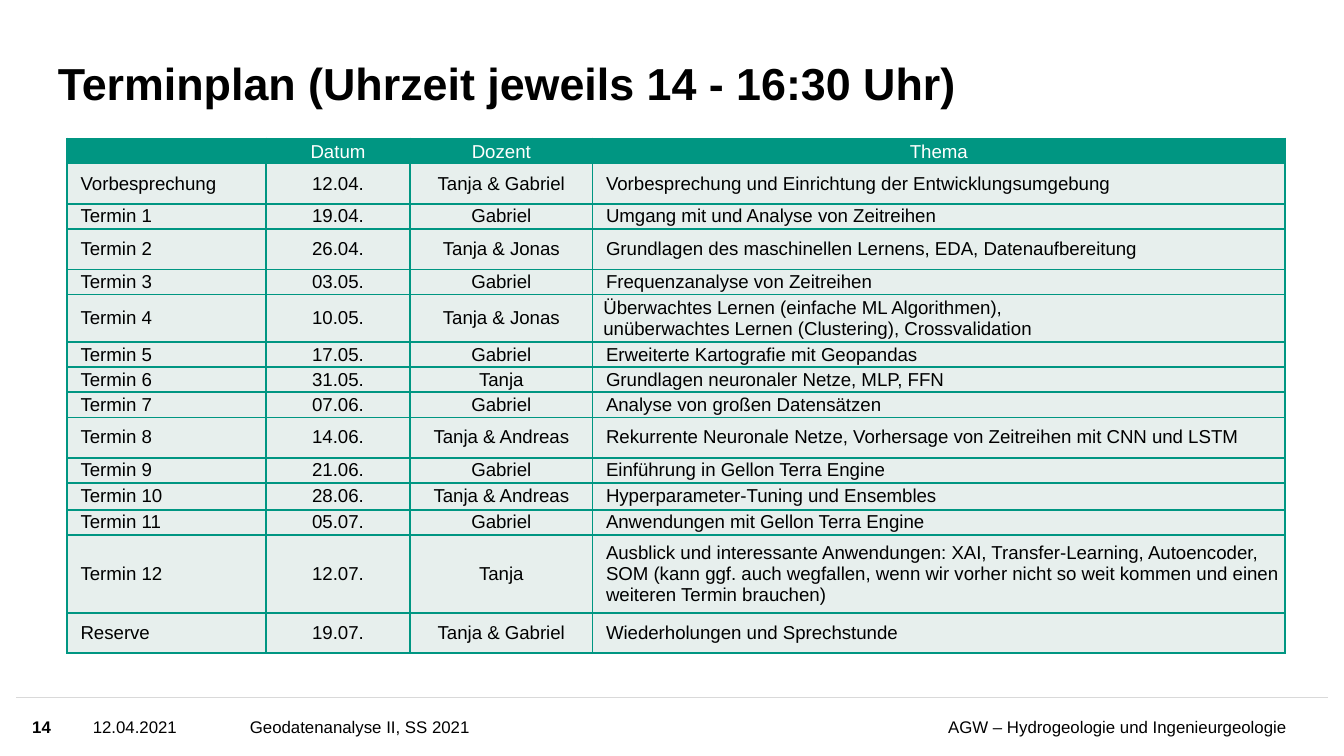
"""Build the course schedule slide with its table of dates, lecturers and topics."""
from lxml.etree import SubElement
from pptx import Presentation
from pptx.dml.color import RGBColor
from pptx.enum.shapes import MSO_CONNECTOR as Connector
from pptx.enum.text import MSO_ANCHOR as Anchor, PP_ALIGN as Align
from pptx.oxml.ns import qn
from pptx.util import Inches, Pt

WIDTH = 10
HEIGHT = WIDTH * 9 / 16
FONT = "Arial"
BLACK = RGBColor(0x00, 0x00, 0x00)
WHITE = RGBColor(0xFF, 0xFF, 0xFF)
GREEN = RGBColor(0x00, 0x96, 0x82)
PALE = RGBColor(0xE7, 0xEF, 0xED)
GREY = RGBColor(0xD9, 0xD9, 0xD9)

TITLE = "Terminplan (Uhrzeit jeweils 14 - 16:30 Uhr)"
SLIM, MEDIUM, WIDE, TRIPLE = 0.16, 0.2, 0.3, 0.58
HEADER = (SLIM, "", "Datum", "Dozent", "Thema")
SESSIONS = [
    (WIDE, "Vorbesprechung", "12.04.", "Tanja & Gabriel",
     "Vorbesprechung und Einrichtung der Entwicklungsumgebung"),
    (SLIM, "Termin 1", "19.04.", "Gabriel", "Umgang mit und Analyse von Zeitreihen"),
    (WIDE, "Termin 2", "26.04.", "Tanja & Jonas",
     "Grundlagen des maschinellen Lernens, EDA, Datenaufbereitung"),
    (SLIM, "Termin 3", "03.05.", "Gabriel", "Frequenzanalyse von Zeitreihen"),
    (WIDE, "Termin 4", "10.05.", "Tanja & Jonas",
     "Überwachtes Lernen (einfache ML Algorithmen),\n"
     "unüberwachtes Lernen (Clustering), Crossvalidation"),
    (SLIM, "Termin 5", "17.05.", "Gabriel", "Erweiterte Kartografie mit Geopandas"),
    (SLIM, "Termin 6", "31.05.", "Tanja", "Grundlagen neuronaler Netze, MLP, FFN"),
    (SLIM, "Termin 7", "07.06.", "Gabriel", "Analyse von großen Datensätzen"),
    (WIDE, "Termin 8", "14.06.", "Tanja & Andreas",
     "Rekurrente Neuronale Netze, Vorhersage von Zeitreihen mit CNN und LSTM"),
    (SLIM, "Termin 9", "21.06.", "Gabriel", "Einführung in Gellon Terra Engine"),
    (MEDIUM, "Termin 10", "28.06.", "Tanja & Andreas", "Hyperparameter-Tuning und Ensembles"),
    (SLIM, "Termin 11", "05.07.", "Gabriel", "Anwendungen mit Gellon Terra Engine"),
    (TRIPLE, "Termin 12", "12.07.", "Tanja",
     "Ausblick und interessante Anwendungen: XAI, Transfer-Learning, Autoencoder, "
     "SOM (kann ggf. auch wegfallen, wenn wir vorher nicht so weit kommen und einen "
     "weiteren Termin brauchen)"),
    (WIDE, "Reserve", "19.07.", "Tanja & Gabriel", "Wiederholungen und Sprechstunde"),
]
COLUMNS = [(1.48, Align.LEFT), (1.07, Align.CENTER), (1.36, Align.CENTER), (5.15, Align.LEFT)]
TABLE_LEFT, TABLE_TOP, TABLE_HEIGHT = 0.5, 1.03, 3.89
FOOTER_TOP, FOOTER_HEIGHT, FOOTER_EDGE = 5.19, 0.43, 0.12
FOOTER = [
    ("14", 0.24, 0.36, Align.LEFT, True),
    ("12.04.2021", 0.69, 1.12, Align.LEFT, False),
    ("Geodatenanalyse II, SS 2021", 1.86, 4.03, Align.LEFT, False),
    ("AGW – Hydrogeologie und Ingenieurgeologie", 6.02, 3.55, Align.RIGHT, False),
]


def write(paragraph, text, size, color, align, bold=False):
    paragraph.alignment = align
    for number, line in enumerate(text.split("\n")):
        if number:
            paragraph.add_line_break()
        run = paragraph.add_run()
        run.text = line
        run.font.name, run.font.size, run.font.bold = FONT, Pt(size), bold
        run.font.color.rgb = color
    for line_break in paragraph._p.findall(qn("a:br")):
        SubElement(line_break, qn("a:rPr"), sz=str(size * 100))


def add_label(slide, box, text, size, align, bold, anchor):
    frame = slide.shapes.add_textbox(*map(Inches, box)).text_frame
    frame.word_wrap, frame.vertical_anchor = True, anchor
    frame.margin_left = frame.margin_right = frame.margin_top = frame.margin_bottom = 0
    write(frame.paragraphs[0], text, size, BLACK, align, bold)
    return frame.paragraphs[0]


def add_borders(cell):
    properties = cell._tc.get_or_add_tcPr()
    for side in ("lnL", "lnR", "lnT", "lnB"):
        border = SubElement(properties, qn(f"a:{side}"), w=str(Pt(1)))
        fill = SubElement(border, qn("a:solidFill"))
        SubElement(fill, qn("a:srgbClr"), val=str(GREEN))


def fill_cell(cell, text, align, is_header):
    add_borders(cell)
    cell.fill.solid()
    cell.fill.fore_color.rgb = GREEN if is_header else PALE
    cell.vertical_anchor = Anchor.BOTTOM if is_header else Anchor.MIDDLE
    cell.margin_left = cell.margin_right = Inches(0 if "\n" in text else 0.02)
    cell.margin_top = cell.margin_bottom = Inches(0.01)
    paragraph = cell.text_frame.paragraphs[0]
    if not text:
        SubElement(paragraph._p, qn("a:endParaRPr"), sz="1000")
        return
    write(paragraph, text, 10, WHITE if is_header else BLACK, Align.CENTER if is_header else align)
    if not is_header and align == Align.LEFT:
        indent = paragraph._p.get_or_add_pPr()
        indent.set("marL", str(Inches(0.08)))
        indent.set("indent", "0")


def add_schedule(slide):
    rows = [HEADER, *SESSIONS]
    box = (TABLE_LEFT, TABLE_TOP, sum(width for width, _ in COLUMNS), TABLE_HEIGHT)
    frame = slide.shapes.add_table(len(rows), len(COLUMNS), *map(Inches, box))
    schedule = frame.table
    schedule.first_row = schedule.horz_banding = False
    for column, (width, _) in zip(schedule.columns, COLUMNS):
        column.width = Inches(width)
    for r, (height, *texts) in enumerate(rows):
        schedule.rows[r].height = Inches(height)
        for c, (text, (_, align)) in enumerate(zip(texts, COLUMNS)):
            fill_cell(schedule.cell(r, c), text, align, r == 0)
    frame.height = Inches(TABLE_HEIGHT)


def add_footer(slide):
    ends = (FOOTER_EDGE, FOOTER_TOP, WIDTH - FOOTER_EDGE, FOOTER_TOP)
    rule = slide.shapes.add_connector(Connector.STRAIGHT, *map(Inches, ends))
    rule.line.color.rgb, rule.line.width = GREY, Pt(1)
    SubElement(rule._element.spPr, qn("a:effectLst"))
    for text, left, width, align, bold in FOOTER:
        box = (left, FOOTER_TOP, width, FOOTER_HEIGHT)
        add_label(slide, box, text, 9, align, bold, Anchor.MIDDLE)


def main():
    deck = Presentation()
    deck.slide_width, deck.slide_height = Inches(WIDTH), Inches(HEIGHT)
    slide = deck.slides.add_slide(deck.slide_layouts[6])
    add_footer(slide)
    title = add_label(slide, (0.43, 0.19, 7.51, 0.63), TITLE, 24, Align.LEFT, True, Anchor.BOTTOM)
    title.line_spacing = 0.9
    add_schedule(slide)
    deck.save("out.pptx")


if __name__ == "__main__":
    main()
